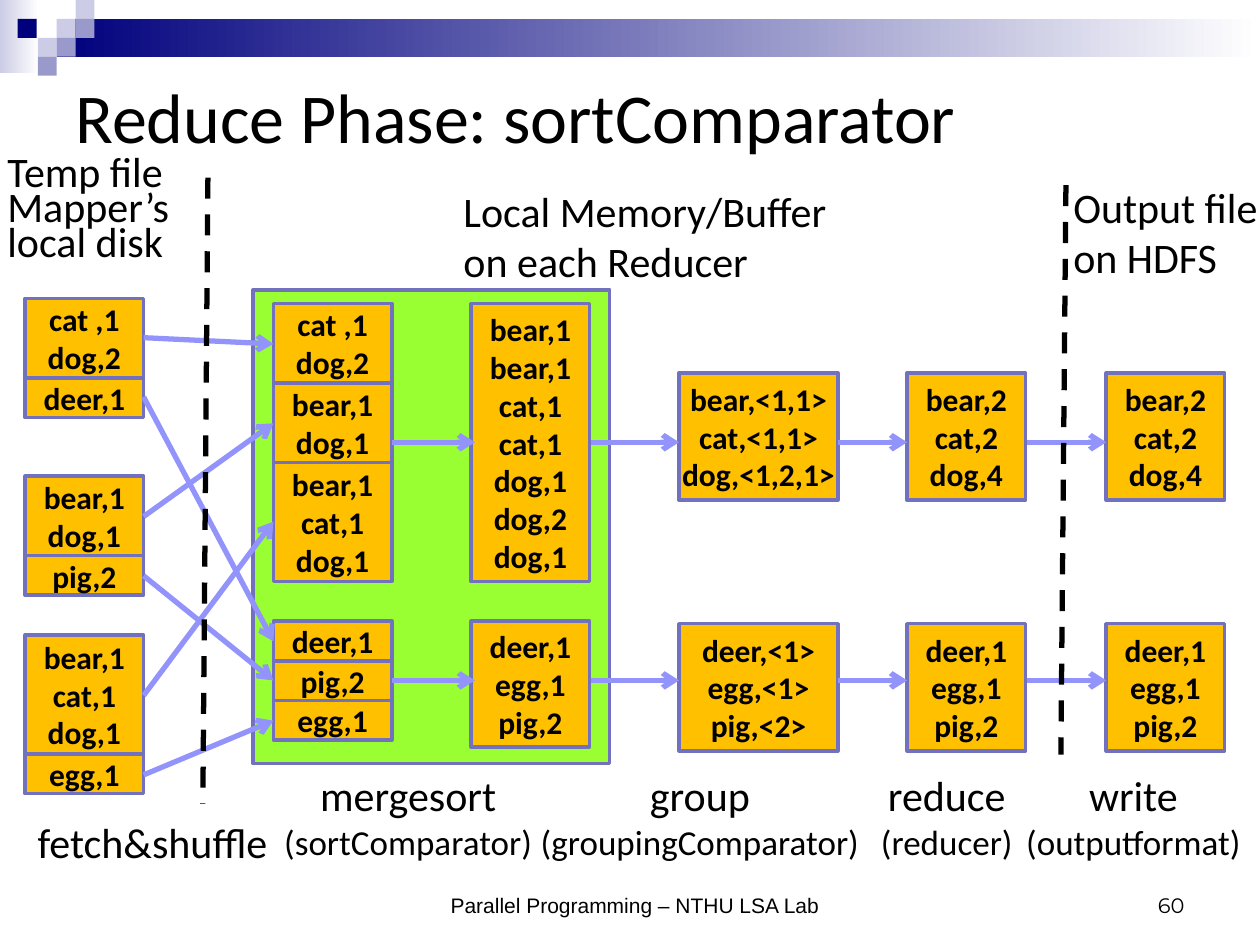
"""Build the Reduce Phase: sortComparator slide."""
from typing import NamedTuple

from lxml import etree
from pptx import Presentation
from pptx import util as u
from pptx.dml.color import RGBColor
from pptx.enum import dml, shapes, text
from pptx.oxml import ns

COLORS = {
    "black": "000000", "navy": "00007D", "lavender": "CCCCE6", "violet": "9999CC",
    "white": "FFFFFF", "green": "99FF33", "amber": "FFC000", "border": "7171BD",
    "arrow": "9393FC",
}
LEFT, CENTER, RIGHT = text.PP_ALIGN.LEFT, text.PP_ALIGN.CENTER, text.PP_ALIGN.RIGHT
TOP, MIDDLE, BOTTOM = text.MSO_ANCHOR.TOP, text.MSO_ANCHOR.MIDDLE, text.MSO_ANCHOR.BOTTOM
BOX_WIDTH = 0.94
LINE_HEIGHT = 0.315
ROWS = (3.51, 5.4)


class Area(NamedTuple):
    left: float
    top: float
    width: float
    height: float


class Label(NamedTuple):
    area: Area
    lines: tuple[str, ...]
    sizes: tuple[int, ...] = (24,)
    align: text.PP_ALIGN = LEFT
    anchor: text.MSO_ANCHOR = TOP
    font: str = "Calibri"
    spacing: int | None = None


class Stack(NamedTuple):
    left: float
    top: float
    cells: tuple[str, ...]


class Record(NamedTuple):
    area: Area
    content: str


TILES = [
    (Area(0.45, 0.15, 0.15, 0.15), "lavender"),
    (Area(0.6, 0, 0.15, 0.15), "lavender"),
    (Area(0.6, 0.15, 0.15, 0.15), "violet"),
    (Area(0.3, 0.3, 0.15, 0.15), "lavender"),
    (Area(0.14, 0.15, 0.15, 0.15), "navy"),
    (Area(0.45, 0.3, 0.15, 0.15), "violet"),
    (Area(0.3, 0.45, 0.15, 0.15), "violet"),
]
STACKS = [
    Stack(0.2, 2.37, ("cat ,1|dog,2", "deer,1")),
    Stack(0.2, 3.78, ("bear,1|dog,1", "pig,2")),
    Stack(0.2, 5.04, ("bear,1|cat,1|dog,1", "egg,1")),
    Stack(2.17, 2.41, ("cat ,1|dog,2", "bear,1|dog,1", "bear,1|cat,1|dog,1")),
    Stack(2.17, 4.93, ("deer,1", "pig,2", "egg,1")),
    Stack(3.74, 2.41, ("bear,1|bear,1|cat,1|cat,1|dog,1|dog,2|dog,1",)),
]
RECORDS = [
    Record(Area(3.74, 4.93, BOX_WIDTH, 1), "deer,1|egg,1|pig,2"),
    Record(Area(5.39, 2.96, 1.26, 1.01), "bear,<1,1>|cat,<1,1>|dog,<1,2,1>"),
    Record(Area(5.39, 4.95, 1.26, 1.01), "deer,<1>|egg,<1>|pig,<2>"),
] + [
    Record(Area(left, top, BOX_WIDTH, 1.01), content)
    for left in (7.2, 8.78)
    for top, content in ((2.96, "bear,2|cat,2|dog,4"), (4.95, "deer,1|egg,1|pig,2"))
]
SHUFFLES = [(2.68, 2.73), (3.15, 5.09), (4.1, 3.36), (4.57, 5.4), (5.52, 4.14), (6.15, 5.72)]
STEPS = [(3.11, 3.77), (4.69, 5.39), (6.65, 7.2), (8.15, 8.78)]
DIVIDERS = [(1.65, 1.41, 1.61, 6.38), (8.46, 1.47, 8.42, 5.99)]
STAGES = [
    (2.01, 2.46, "mergesort", "(sortComparator)"),
    (3.27, 4.57, "group", "(groupingComparator)"),
    (6.65, 1.73, "reduce", "(reducer)"),
    (7.99, 2.01, "write", "(outputformat)"),
]
LABELS = [
    Label(Area(0.5, 0.5, 9, 0.83), ("Reduce Phase: sortComparator",), (40,), anchor=MIDDLE),
    Label(Area(3.08, 6.83, 3.92, 0.5), ("Parallel Programming – NTHU LSA Lab",), (12,),
          CENTER, BOTTOM, "Arial"),
    Label(Area(7.17, 6.83, 2.33, 0.5), ("60",), (12,), RIGHT, BOTTOM, "Montserrat"),
    Label(Area(-0.04, 1.23, 1.97, 0.96), ("Temp file", "Mapper’s", "local disk"), spacing=20),
    Label(Area(0.2, 6.43, 2.45, 0.5), ("fetch&shuffle",)),
    Label(Area(3.58, 1.42, 3.35, 0.91), ("Local Memory/Buffer on each Reducer",)),
    Label(Area(8.42, 1.39, 1.73, 0.91), ("Output file", "on HDFS")),
] + [
    Label(Area(left, 6.06, width, 0.84), (name, detail), (24, 20), CENTER)
    for left, width, name, detail in STAGES
]


def rgb(name: str) -> RGBColor:
    """Return a named colour."""
    return RGBColor.from_string(COLORS[name])


def apply(target, **values) -> None:
    """Set each format value on the target."""
    for name, value in values.items():
        setattr(target, name, value)


def write(frame, lines, sizes, align, anchor, font="Calibri", bold=False, spacing=None) -> None:
    """Write one paragraph per line, reusing the last size when sizes run out."""
    apply(frame, word_wrap=True, vertical_anchor=anchor)
    for index, line in enumerate(lines):
        paragraph = frame.add_paragraph() if index else frame.paragraphs[0]
        apply(paragraph, alignment=align, line_spacing=u.Pt(spacing) if spacing else None)
        run = paragraph.add_run()
        run.text = line
        size = sizes[min(index, len(sizes) - 1)]
        apply(run.font, name=font, size=u.Pt(size), bold=bold)
        run.font.color.rgb = rgb("black")


def add_rectangle(slide, area: Area, fill: str, border: str | None = None,
                  fade_to: str | None = None):
    """Add a rectangle with a plain or horizontally fading fill."""
    shape = slide.shapes.add_shape(shapes.MSO_SHAPE.RECTANGLE, *map(u.Inches, area))
    shape.shadow.inherit = False
    if fade_to:
        shape.fill.gradient()
        shape.fill.gradient_angle = 0
        for stop, name, position in zip(shape.fill.gradient_stops, (fill, fade_to), (0, 1)):
            stop.color.rgb = rgb(name)
            stop.position = position
    else:
        shape.fill.solid()
        shape.fill.fore_color.rgb = rgb(fill)
    if border:
        shape.line.color.rgb = rgb(border)
        shape.line.width = u.Pt(2)
    else:
        shape.line.fill.background()
    return shape


def add_record(slide, record: Record) -> None:
    """Add a box of key-value lines."""
    shape = add_rectangle(slide, record.area, "amber", "border")
    apply(shape.text_frame, margin_left=0, margin_right=0)
    write(shape.text_frame, record.content.split("|"), (18,), CENTER, MIDDLE, bold=True)


def add_stack(slide, stack: Stack) -> None:
    """Add adjoining boxes, each as tall as its number of lines."""
    top = stack.top
    for content in stack.cells:
        height = LINE_HEIGHT * (content.count("|") + 1)
        add_record(slide, Record(Area(stack.left, top, BOX_WIDTH, height), content))
        top += height


def add_label(slide, label: Label) -> None:
    """Add a free text label."""
    area, *style = label
    box = slide.shapes.add_textbox(*map(u.Inches, area))
    lines, sizes, align, anchor, font, spacing = style
    write(box.text_frame, lines, sizes, align, anchor, font, spacing=spacing)


def add_line(slide, ends: tuple[float, ...], color: str, dashed: bool = False) -> None:
    """Add a dashed divider or a solid arrow."""
    line = slide.shapes.add_connector(shapes.MSO_CONNECTOR.STRAIGHT, *map(u.Inches, ends))
    line.line.color.rgb = rgb(color)
    line.line.width = u.Pt(3)
    if dashed:
        line.line.dash_style = dml.MSO_LINE.DASH
    else:
        etree.SubElement(line.line._get_or_add_ln(), ns.qn("a:tailEnd"), type="arrow")
    etree.SubElement(line._element.spPr, ns.qn("a:effectLst"))


def main() -> None:
    """Build and save the slide."""
    presentation = Presentation()
    apply(presentation, slide_width=u.Inches(10), slide_height=u.Inches(7.5))
    slide = presentation.slides.add_slide(presentation.slide_layouts[6])
    add_rectangle(slide, Area(0, 0, 0.31, 0.58), "lavender", fade_to="white")
    add_rectangle(slide, Area(0.45, 0.15, 9.55, 0.3), "navy", fade_to="white")
    for area, color in TILES:
        add_rectangle(slide, area, color)
    add_rectangle(slide, Area(2.01, 2.3, 2.83, 3.76), "green", "border")
    for stack in STACKS:
        add_stack(slide, stack)
    for record in RECORDS:
        add_record(slide, record)
    arrows = [(1.14, start, 2.17, end) for start, end in SHUFFLES]
    arrows += [(start, row, end, row) for start, end in STEPS for row in ROWS]
    for ends in arrows:
        add_line(slide, ends, "arrow")
    for ends in DIVIDERS:
        add_line(slide, ends, "black", dashed=True)
    for label in LABELS:
        add_label(slide, label)
    presentation.save("out.pptx")


if __name__ == "__main__":
    main()
